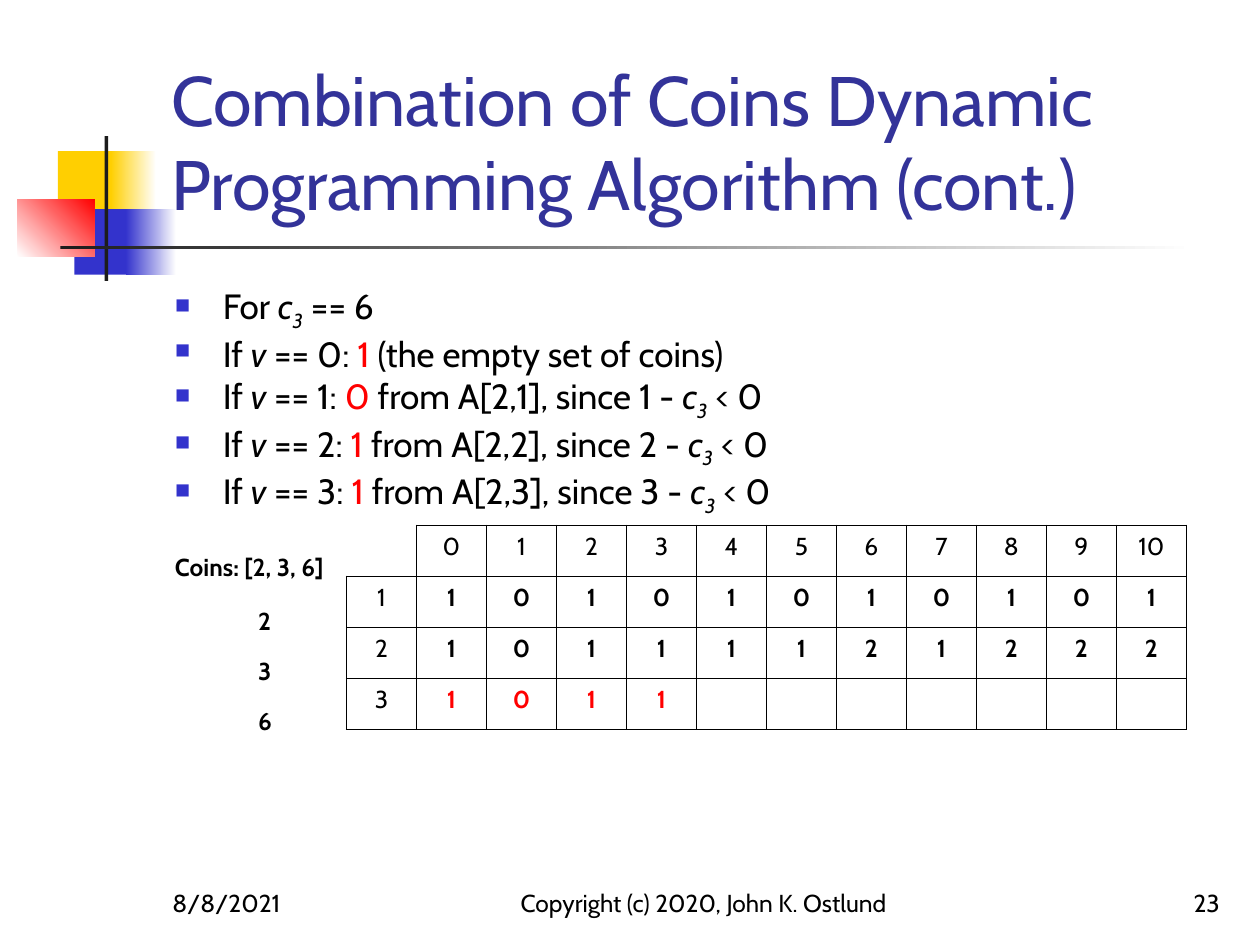
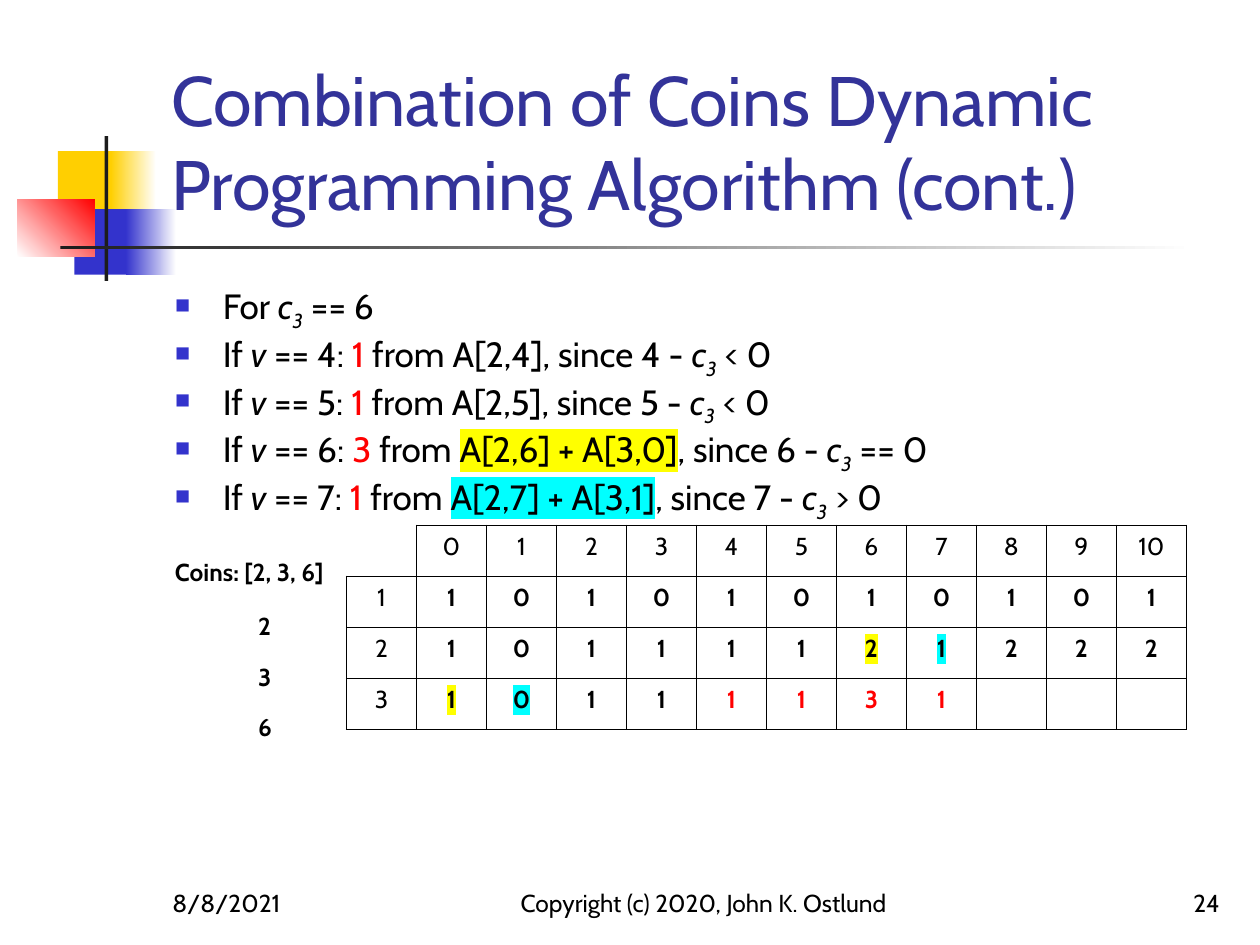
import lxml.etree
import pptx
import pptx.dml.color
import pptx.enum.shapes
import pptx.enum.text
import pptx.oxml.ns
import pptx.util

Inches = pptx.util.Inches
Pt = pptx.util.Pt
Align = pptx.enum.text.PP_ALIGN
Anchor = pptx.enum.text.MSO_ANCHOR
qn = pptx.oxml.ns.qn

FONT = "Cabin"
BLACK, WHITE, RED, TITLE = "000000", "FFFFFF", "FF0000", "333399"
GOLD, BLUE, CHARCOAL = "FFCF01", "3333CC", "1C1C1C"
YELLOW, CYAN = "FFFF00", "00FFFF"

COINS = [2, 3, 6]
VALUES = range(11)
FIRST_ROWS = [
    [1, 0, 1, 0, 1, 0, 1, 0, 1, 0, 1],
    [1, 0, 1, 1, 1, 1, 2, 1, 2, 2, 2],
]
THIRD_ROW = [1, 0, 1, 1, 1, 1, 3, 1]


def rgb(code):
    """Turn a hex string into a colour."""
    return pptx.dml.color.RGBColor.from_string(code)


def add_span(para, text, size, color=BLACK, bold=False, italic=False, lowered=False, marker=None):
    """Add one formatted run to a paragraph."""
    span = para.add_run()
    span.text = text
    font = span.font
    font.name, font.size, font.bold, font.italic = FONT, Pt(size), bold, italic
    font.color.rgb = rgb(color)
    properties = span._r.get_or_add_rPr()
    if lowered:
        properties.set("baseline", "-25000")
    if marker:
        highlight = lxml.etree.Element(qn("a:highlight"))
        lxml.etree.SubElement(highlight, qn("a:srgbClr"), val=marker)
        properties.find(qn("a:solidFill")).addnext(highlight)


def add_frame(page, left, top, width, height, anchor=Anchor.TOP):
    """Add a wrapping text box and return its text frame."""
    box = page.shapes.add_textbox(Inches(left), Inches(top), Inches(width), Inches(height))
    frame = box.text_frame
    frame.word_wrap = True
    frame.vertical_anchor = anchor
    return frame


def next_para(frame, index):
    """Return the first paragraph of a frame or a new one."""
    return frame.add_paragraph() if index else frame.paragraphs[0]


def add_block(page, left, top, width, height, start, end=None, angle=0):
    """Add a plain or fading rectangle."""
    block = page.shapes.add_shape(
        pptx.enum.shapes.MSO_SHAPE.RECTANGLE,
        Inches(left), Inches(top), Inches(width), Inches(height))
    block.shadow.inherit = False
    block.line.fill.background()
    if end is None:
        block.fill.solid()
        block.fill.fore_color.rgb = rgb(start)
        return
    block.fill.gradient()
    block.fill.gradient_angle = angle
    for stop, color in zip(block.fill.gradient_stops, (start, end)):
        stop.color.rgb = rgb(color)


def add_emblem(page, left, top):
    """Draw the coloured squares and crossing rules."""
    add_block(page, left + 0.32, top + 0.12, 0.48, 0.52, GOLD)
    add_block(page, left + 0.74, top + 0.12, 0.36, 0.52, GOLD, WHITE)
    add_block(page, left + 0.45, top + 0.58, 0.46, 0.52, BLUE)
    add_block(page, left + 0.86, top + 0.58, 0.4, 0.52, BLUE, WHITE)
    add_block(page, left, top + 0.5, 0.61, 0.46, WHITE, RED, 45)
    add_block(page, left + 0.69, top, 0.03, 1.15, CHARCOAL)
    add_block(page, left + 0.34, top + 0.87, 9, 0.03, CHARCOAL, WHITE)


def add_title(page, left, top, width, height):
    """Write the slide title."""
    frame = add_frame(page, left, top, width, height, Anchor.BOTTOM)
    add_span(frame.paragraphs[0],
             "Combination of Coins Dynamic Programming Algorithm (cont.)", 40, TITLE)


def add_footer(page, top, number):
    """Write the date, copyright line and slide number."""
    for left, width, text, align in (
            (1.27, 2.08, "8/8/2021", Align.LEFT),
            (4, 3.17, "Copyright (c) 2020, John K. Ostlund", Align.CENTER),
            (7.7, 2.08, str(number), Align.RIGHT)):
        para = add_frame(page, left, top, width, 0.5, Anchor.BOTTOM).paragraphs[0]
        para.alignment = align
        add_span(para, text, 14)


def third_coin():
    """Return the runs of the symbol for the third coin."""
    return [("c", {"italic": True}), ("3", {"italic": True, "lowered": True})]


def case(value, *reason):
    """Return the runs of one case, with its result in red."""
    return [("If ", {}), ("v", {"italic": True}), (f" == {value}: ", {}),
            (str(THIRD_ROW[value]), {"color": RED}), *reason]


def carried(value):
    """Return a case whose result comes from the row above."""
    return case(value, (f" from A[2,{value}], since {value} - ", {}), *third_coin(), (" < 0", {}))


def summed(value, relation, marker):
    """Return a case whose result adds two marked cells."""
    return case(value, (" from ", {}),
                (f"A[2,{value}] + A[3,{value - COINS[2]}]", {"marker": marker}),
                (f", since {value} - ", {}), *third_coin(), (f" {relation} 0", {}))


def add_bullet(para):
    """Give a paragraph a hanging square bullet."""
    properties = para._p.get_or_add_pPr()
    properties.set("marL", str(Inches(0.38)))
    properties.set("indent", str(-Inches(0.38)))
    color = lxml.etree.SubElement(properties, qn("a:buClr"))
    lxml.etree.SubElement(color, qn("a:srgbClr"), val=BLUE)
    lxml.etree.SubElement(properties, qn("a:buSzPct"), val="60000")
    lxml.etree.SubElement(properties, qn("a:buChar"), char="■")


def add_cases(page, left, top, width, height, cases):
    """List the cases for the third coin."""
    frame = add_frame(page, left, top, width, height)
    heading = [("For ", {}), *third_coin(), (" == 6", {})]
    for index, spans in enumerate([heading, *cases]):
        para = next_para(frame, index)
        add_bullet(para)
        for text, style in spans:
            add_span(para, text, 20, **style)


def add_coins(page, left, top):
    """List the coins beside the rows of the table."""
    frame = add_frame(page, left, top, 1.45, 1.55)
    add_span(frame.paragraphs[0], f"Coins: {COINS}", 14, bold=True)
    for index, coin in enumerate(COINS):
        para = frame.add_paragraph()
        para._p.get_or_add_pPr().set("marL", str(Inches(0.66)))
        para.space_before = Pt(11.8 if index else 14.4)
        add_span(para, str(coin), 14, bold=True)


def add_borders(cell, sides):
    """Draw thin black lines on the given sides of a cell."""
    properties = cell._tc.get_or_add_tcPr()
    for position, side in enumerate(("L", "R", "T", "B")):
        line = lxml.etree.Element(qn(f"a:ln{side}"), w=str(Pt(1)))
        if side in sides:
            fill = lxml.etree.SubElement(line, qn("a:solidFill"))
            lxml.etree.SubElement(fill, qn("a:srgbClr"), val=BLACK)
        else:
            lxml.etree.SubElement(line, qn("a:noFill"))
        properties.insert(position, line)


def add_counts(page, left, top, width, height, third_row, fresh, markers):
    """Build the table of combination counts."""
    rows = [["", *VALUES]]
    rows += [[number, *row] for number, row in enumerate([*FIRST_ROWS, third_row], 1)]
    columns = len(rows[0])
    table = page.shapes.add_table(
        len(rows), columns, Inches(left), Inches(top), Inches(width), Inches(height)).table
    table.first_row = table.horz_banding = False
    for row, values in enumerate(rows):
        for column in range(columns):
            cell = table.cell(row, column)
            cell.fill.background()
            cell.margin_bottom = 0
            add_borders(cell, "LRTB" if row or column else "RB")
            if column >= len(values) or values[column] == "":
                continue
            para = cell.text_frame.paragraphs[0]
            para.alignment = Align.CENTER
            is_new = row == 3 and column and column - 1 in fresh
            add_span(para, str(values[column]), 14, RED if is_new else BLACK,
                     bold=bool(row and column), marker=markers.get((row, column - 1)))


def add_page(deck, number, cases, coins_top, fresh, markers):
    """Build one slide of the worked example."""
    page = deck.slides.add_slide(deck.slide_layouts[6])
    add_emblem(page, 0.14, 1.08)
    add_title(page, 1.26, 0.23, 8.52, 1.6)
    add_cases(page, 1.29, 2.21, 8.5, 2, cases)
    add_coins(page, 1.29, coins_top)
    add_footer(page, 6.83, number)
    add_counts(page, 2.75, 4.17, 6.67, 1.62, THIRD_ROW[:fresh.stop], fresh, markers)


def main():
    """Build and save the deck."""
    deck = pptx.Presentation()
    deck.slide_width, deck.slide_height = Inches(10), Inches(7.5)
    empty_set = case(0, (" (the empty set of coins)", {}))
    add_page(deck, 23, [empty_set, carried(1), carried(2), carried(3)], 4.33, range(4), {})
    add_page(deck, 24,
             [carried(4), carried(5), summed(6, "==", YELLOW), summed(7, ">", CYAN)],
             4.37, range(4, 8),
             {(2, 6): YELLOW, (3, 0): YELLOW, (2, 7): CYAN, (3, 1): CYAN})
    deck.save("out.pptx")


if __name__ == "__main__":
    main()
